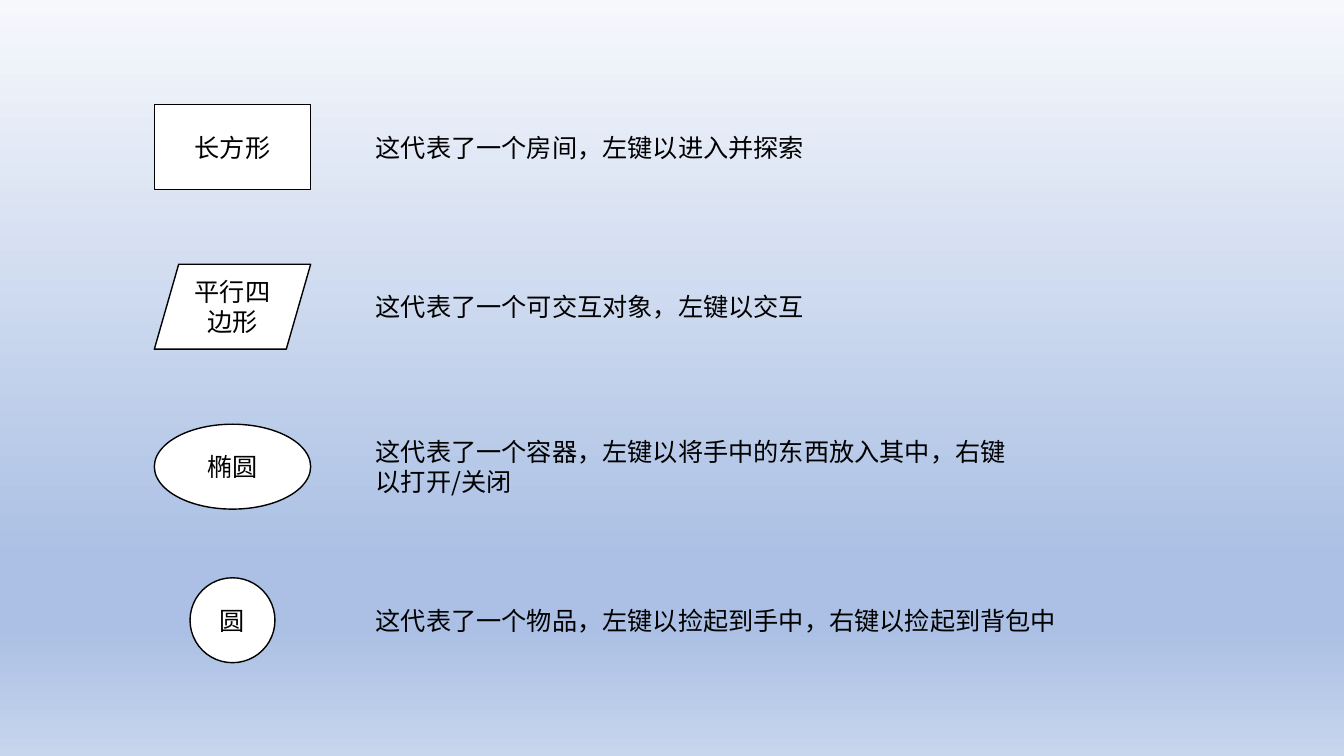
from lxml.etree import SubElement
from pptx import Presentation
from pptx.dml.color import RGBColor
from pptx.enum.shapes import MSO_SHAPE as Shape
from pptx.enum.text import MSO_ANCHOR as Anchor, MSO_AUTO_SIZE as AutoSize, PP_ALIGN as Align
from pptx.oxml.ns import qn
from pptx.util import Cm, Pt

FONT = "Noto Sans CJK SC"
BLACK, WHITE = "000000", "FFFFFF"
SKY = [(0, "F6F8FC"), (74, "ABC0E4"), (83, "ABC0E4"), (100, "C7D5ED")]

SYMBOL_LEFT, SYMBOL_WIDTH, SYMBOL_HEIGHT = 3.89, 3.94, 2.14
MEANING_LEFT = 9.22

# symbol, its width, label, row centre, meaning, its width, height and wrapping
LEGEND = [
    (Shape.RECTANGLE, SYMBOL_WIDTH, "长方形", 3.71,
     "这代表了一个房间，左键以进入并探索", 11.4, 1.02, False),
    (Shape.PARALLELOGRAM, SYMBOL_WIDTH, "平行四边形", 7.73,
     "这代表了一个可交互对象，左键以交互", 18.11, 1.02, True),
    (Shape.OVAL, SYMBOL_WIDTH, "椭圆", 11.76,
     "这代表了一个容器，左键以将手中的东西放入其中，右键以打开/关闭", 16.54, 1.8, True),
    (Shape.OVAL, SYMBOL_HEIGHT, "圆", 15.63,
     "这代表了一个物品，左键以捡起到手中，右键以捡起到背包中", 17.83, 1.02, False),
]


def rgb(value):
    return RGBColor.from_string(value)


def paint_background(slide, stops):
    """Fill the slide from top to bottom with (percent, colour) stops."""
    fill = slide.background.fill
    fill.gradient()
    fill.gradient_angle = 270
    stop_list = slide.element.find(".//" + qn("a:gsLst"))
    for old in list(stop_list):
        stop_list.remove(old)
    for percent, color in stops:
        stop = SubElement(stop_list, qn("a:gs"), pos=str(percent * 1000))
        SubElement(stop, qn("a:srgbClr"), val=color)


def write(frame, text, align, **frame_format):
    for key, value in frame_format.items():
        setattr(frame, key, value)
    paragraph = frame.paragraphs[0]
    paragraph.alignment = align
    run = paragraph.add_run()
    run.text = text
    for key, value in {"name": FONT, "size": Pt(18)}.items():
        setattr(run.font, key, value)
    run.font.color.rgb = rgb(BLACK)
    SubElement(run.font._element, qn("a:ea"), typeface=FONT)


def add_symbol(slide, kind, label, center, middle, width, height):
    symbol = slide.shapes.add_shape(kind, Cm(center - width / 2), Cm(middle - height / 2),
                                    Cm(width), Cm(height))
    symbol.shadow.inherit = False
    symbol.fill.solid()
    symbol.fill.fore_color.rgb = rgb(WHITE)
    symbol.line.color.rgb = rgb(BLACK)
    symbol.line.width = Pt(1)
    if kind == Shape.PARALLELOGRAM:
        symbol.adjustments[0] = 0.287
    write(symbol.text_frame, label, Align.CENTER, vertical_anchor=Anchor.MIDDLE)


def add_meaning(slide, text, left, middle, width, height, wrap):
    meaning = slide.shapes.add_textbox(Cm(left), Cm(middle - height / 2), Cm(width), Cm(height))
    write(meaning.text_frame, text, Align.LEFT, word_wrap=wrap,
          auto_size=AutoSize.SHAPE_TO_FIT_TEXT)


def add_legend(slide):
    center = SYMBOL_LEFT + SYMBOL_WIDTH / 2
    for kind, symbol_width, label, middle, meaning, width, height, wrap in LEGEND:
        add_symbol(slide, kind, label, center, middle, symbol_width, SYMBOL_HEIGHT)
        add_meaning(slide, meaning, MEANING_LEFT, middle, width, height, wrap)


def main():
    deck = Presentation()
    deck.slide_width, deck.slide_height = Cm(33.87), Cm(19.05)
    slide = deck.slides.add_slide(deck.slide_layouts[6])
    paint_background(slide, SKY)
    add_legend(slide)
    deck.save("out.pptx")


if __name__ == "__main__":
    main()
